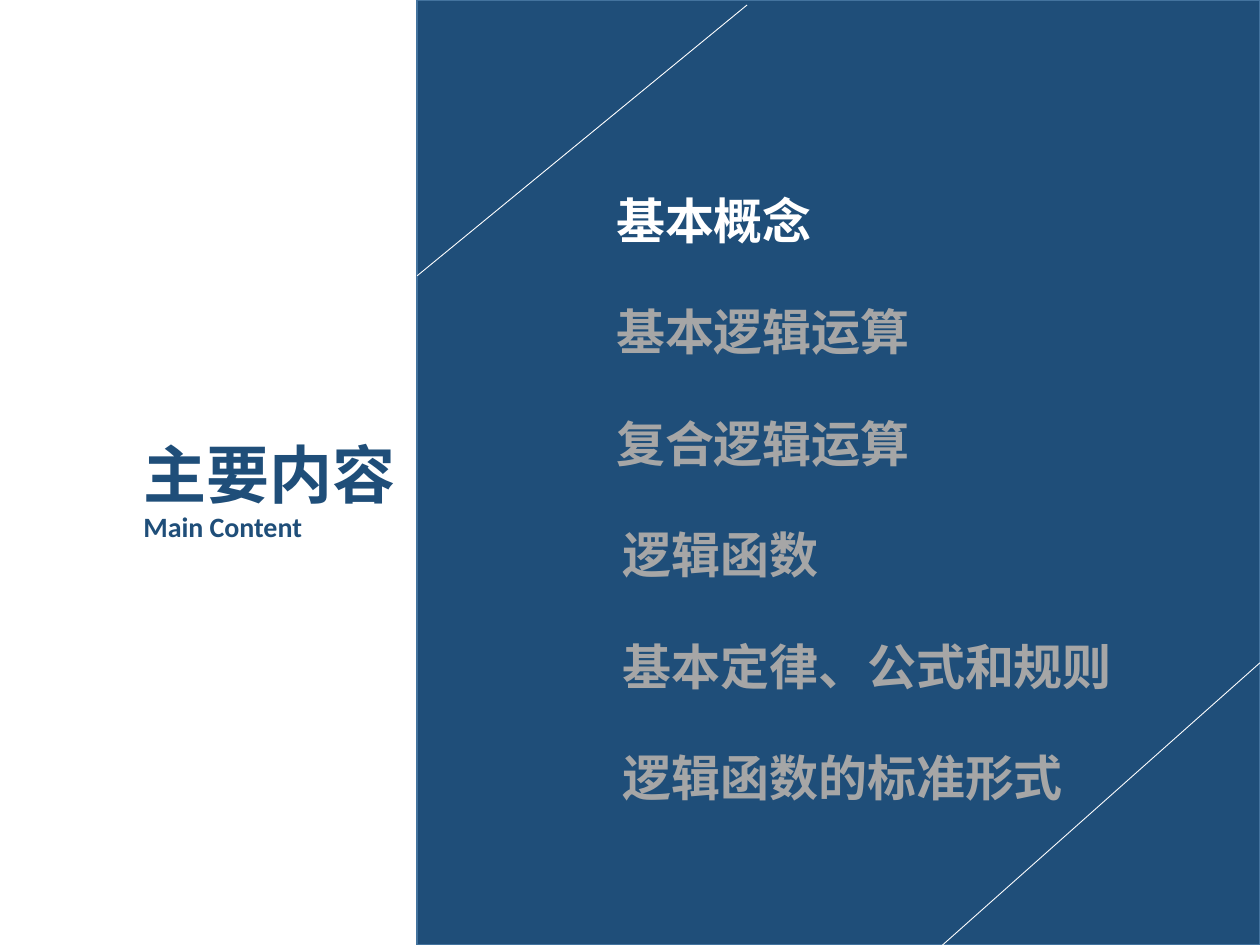
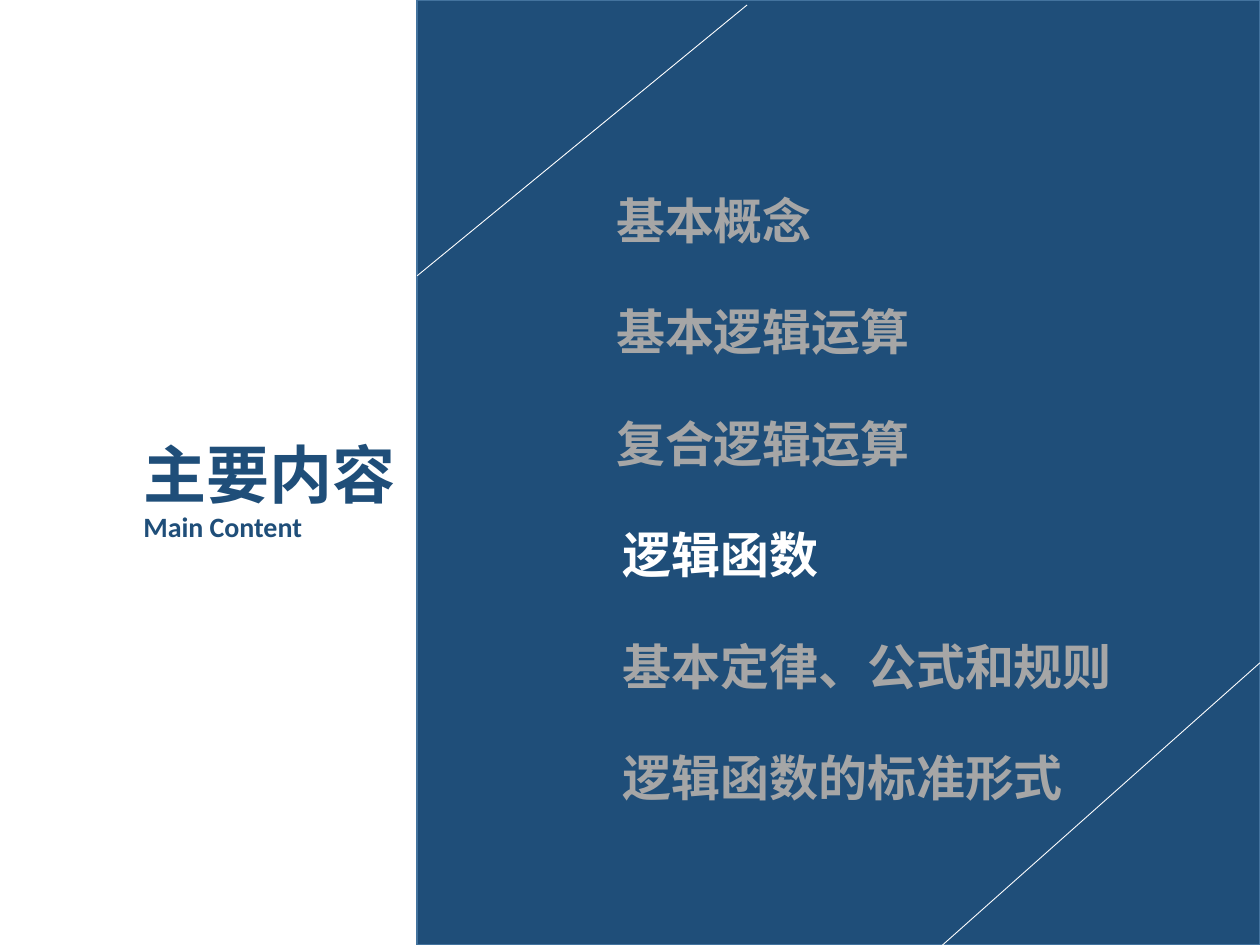
from lxml.etree import SubElement
from pptx import Presentation
from pptx.dml.color import RGBColor
from pptx.enum.shapes import MSO_CONNECTOR, MSO_SHAPE
from pptx.enum.text import MSO_ANCHOR, MSO_AUTO_SIZE, PP_ALIGN
from pptx.oxml.ns import qn
from pptx.util import Cm, Pt

NAVY = RGBColor(0x1F, 0x4E, 0x79)
EDGE_BLUE = RGBColor(0x43, 0x73, 0x9E)
WHITE = RGBColor(0xFF, 0xFF, 0xFF)
GREY = RGBColor(0xA6, 0xA6, 0xA6)

CHINESE_FONT = "Noto Sans CJK SC"
LATIN_FONT = "Calibri"
PAGE_WIDTH, PAGE_HEIGHT = Cm(25.4), Cm(19.05)
BAND_LEFT = Cm(8.41)

TOPICS = [
    ("基本概念", Cm(0)),
    ("基本逻辑运算", Cm(0)),
    ("复合逻辑运算", Cm(0)),
    ("逻辑函数", Cm(0.13)),
    ("基本定律、公式和规则", Cm(0.13)),
    ("逻辑函数的标准形式", Cm(0.13)),
]
CURRENT_TOPICS = ["基本概念", "逻辑函数"]
DIAGONALS = [
    (Cm(15.06), Cm(0.1), BAND_LEFT, Cm(5.56)),
    (PAGE_WIDTH, Cm(13.36), Cm(19), PAGE_HEIGHT),
]


def apply_format(target, values):
    """Set each named attribute of the target."""
    for name, value in values.items():
        setattr(target, name, value)


def prepare_placeholder(box, left, top, width, height, margin_top):
    """Place a placeholder and return its emptied text frame."""
    apply_format(box, {"left": left, "top": top, "width": width, "height": height})
    frame = box.text_frame
    apply_format(frame, {
        "word_wrap": True,
        "auto_size": MSO_AUTO_SIZE.NONE,
        "vertical_anchor": MSO_ANCHOR.TOP,
        "margin_left": Cm(0.25),
        "margin_right": Cm(0.25),
        "margin_top": margin_top,
        "margin_bottom": Cm(0),
    })
    frame.clear()
    return frame


def write_line(frame, position, text, font, size, color, line_height, gap=Pt(0), indent=Cm(0)):
    """Write one bold line without a bullet."""
    para = frame.paragraphs[0] if position == 0 else frame.add_paragraph()
    apply_format(para, {
        "alignment": PP_ALIGN.LEFT,
        "line_spacing": line_height,
        "space_before": Pt(0),
        "space_after": gap,
    })
    properties = para._p.get_or_add_pPr()
    properties.set("marL", str(indent))
    properties.set("indent", "0")
    SubElement(properties, qn("a:buNone"))
    span = para.add_run()
    span.text = text
    span.font.color.rgb = color
    apply_format(span.font, {"name": font, "size": size, "bold": True})
    SubElement(span._r.get_or_add_rPr(), qn("a:ea")).set("typeface", font)


def add_band(page):
    """Put the navy band behind the placeholders."""
    band = page.shapes.add_shape(
        MSO_SHAPE.RECTANGLE, BAND_LEFT, Cm(0), PAGE_WIDTH - BAND_LEFT, PAGE_HEIGHT)
    band.shadow.inherit = False
    band.fill.solid()
    band.fill.fore_color.rgb = NAVY
    band.line.color.rgb = EDGE_BLUE
    band.line.width = Pt(1)
    page.shapes.title.element.addprevious(band.element)


def add_diagonal(page, ends):
    """Draw one thin white line."""
    diagonal = page.shapes.add_connector(MSO_CONNECTOR.STRAIGHT, *ends)
    diagonal.line.color.rgb = WHITE
    diagonal.line.width = Pt(0.5)
    SubElement(diagonal.element.spPr, qn("a:effectLst"))


def add_title(page):
    """Write the title in both languages."""
    frame = prepare_placeholder(
        page.shapes.title, Cm(2.64), Cm(8.56), Cm(5.77), Cm(2.49), Cm(0.34))
    write_line(frame, 0, "主要内容", CHINESE_FONT, Pt(36), NAVY, Pt(40))
    write_line(frame, 1, "Main Content", LATIN_FONT, Pt(16), NAVY, Pt(18))


def add_topics(page, current):
    """List the topics with the current one in white."""
    frame = prepare_placeholder(
        page.placeholders[1], Cm(12.17), Cm(3.61), Cm(11.3), Cm(12.7), Cm(0))
    for position, (topic, indent) in enumerate(TOPICS):
        color = WHITE if topic == current else GREY
        write_line(frame, position, topic, CHINESE_FONT, Pt(28), color,
                   Pt(40), Pt(23.7), indent)


def add_contents_page(deck, current):
    """Add a contents page that highlights the current topic."""
    page = deck.slides.add_slide(deck.slide_layouts[1])
    add_band(page)
    for ends in DIAGONALS:
        add_diagonal(page, ends)
    add_title(page)
    add_topics(page, current)


def main():
    """Build and save the deck."""
    deck = Presentation()
    apply_format(deck, {"slide_width": PAGE_WIDTH, "slide_height": PAGE_HEIGHT})
    for current in CURRENT_TOPICS:
        add_contents_page(deck, current)
    deck.save("out.pptx")


if __name__ == "__main__":
    main()
